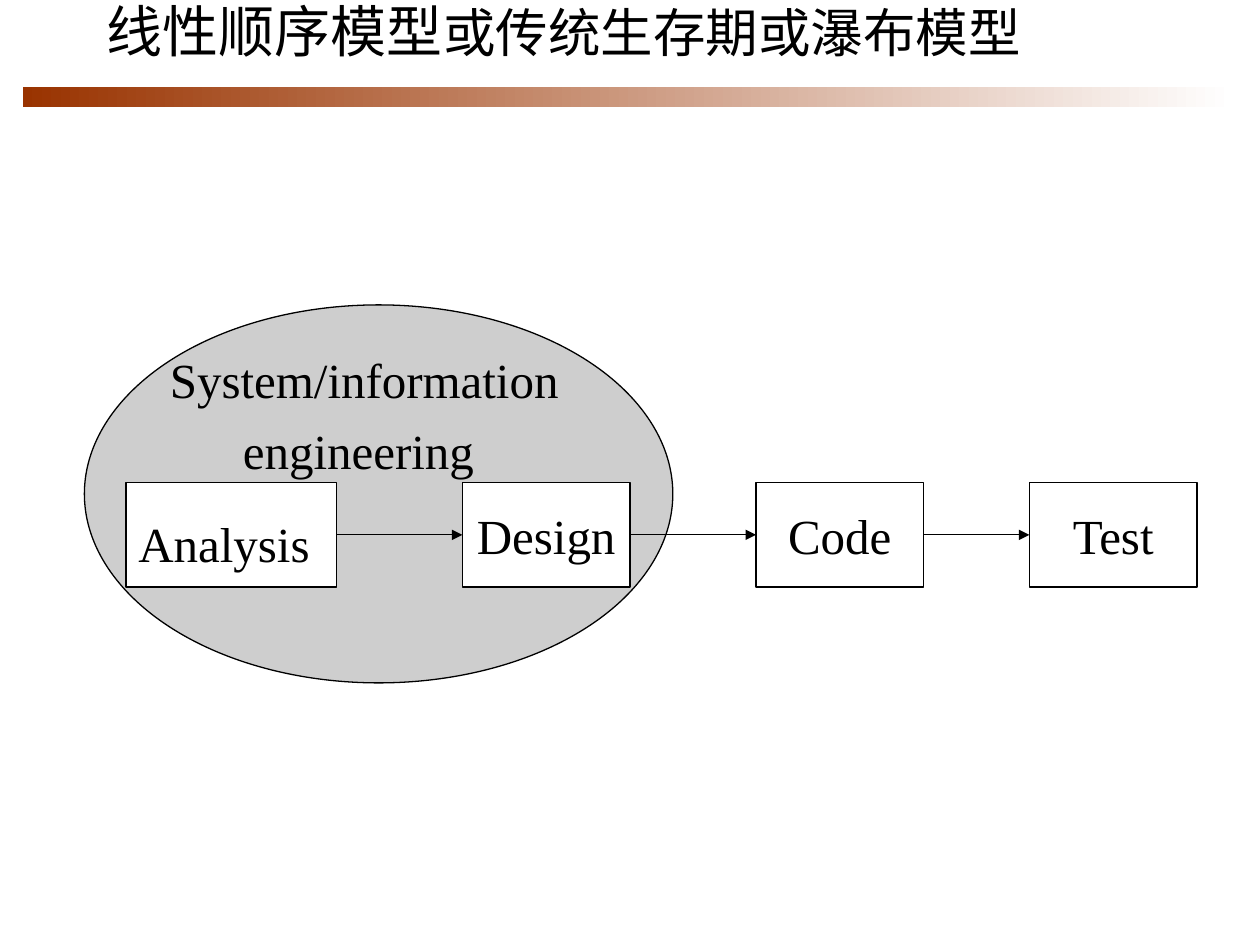
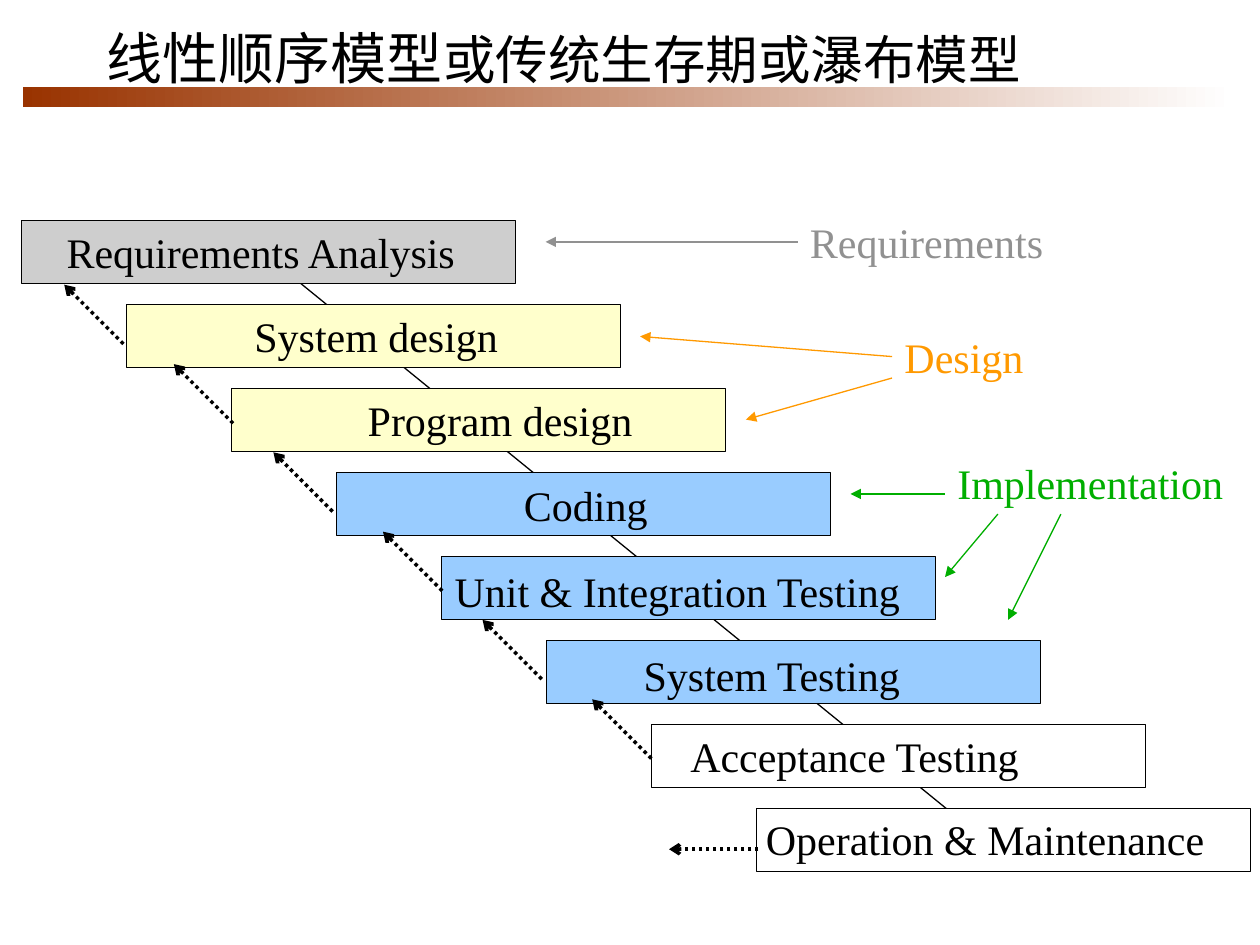
import pptx
import pptx.util
import pptx.dml.color
import pptx.enum.dml
import pptx.enum.shapes
import pptx.enum.text
import pptx.oxml.ns
from lxml import etree

Inches = pptx.util.Inches
Pt = pptx.util.Pt
RGBColor = pptx.dml.color.RGBColor
Shape = pptx.enum.shapes.MSO_SHAPE
Anchor = pptx.enum.text.MSO_ANCHOR
Align = pptx.enum.text.PP_ALIGN

BLACK = RGBColor(0x00, 0x00, 0x00)
WHITE = RGBColor(0xFF, 0xFF, 0xFF)
RUST = RGBColor(0x99, 0x33, 0x00)
SILVER = RGBColor(0xCE, 0xCE, 0xCE)
CREAM = RGBColor(0xFF, 0xFF, 0xCC)
SKY = RGBColor(0x99, 0xCC, 0xFF)
GREY = RGBColor(0x91, 0x91, 0x91)
ORANGE = RGBColor(0xFF, 0x99, 0x00)
GREEN = RGBColor(0x00, 0xAE, 0x00)
SERIF = "Times New Roman"
SANS = "Arial"

# Waterfall steps: text, fill, label left, label drop, label width
STEPS = [
    ("Requirements Analysis", SILVER, 0.43, 0, 3.49),
    ("System design", CREAM, 1.92, 0, 2.25),
    ("Program design", CREAM, 2.82, 0, 2.5),
    ("Coding", SKY, 4.06, 0.01, 1.25),
    ("Unit & Integration Testing", SKY, 3.51, 0.02, 3.83),
    ("System Testing", SKY, 5.01, 0.02, 2.33),
    ("Acceptance Testing", WHITE, 5.38, 0, 3.25),
    ("Operation & Maintenance", WHITE, 5.98, -0.01, 3.92),
]

# Phases: text, colour, label box, arrows as start and end points
PHASES = [
    ("Requirements", GREY, (6.33, 1.67, 2.58, 0.5),
     [(6.33, 1.92, 4.33, 1.92)]),
    ("Design", ORANGE, (7.08, 2.58, 1.42, 0.5),
     [(7.08, 2.83, 5.08, 2.67), (7.08, 3, 5.92, 3.33)]),
    ("Implementation", GREEN, (7.5, 3.58, 2.33, 0.5),
     [(7.5, 3.92, 6.75, 3.92), (7.92, 4.08, 7.5, 4.58),
      (8.42, 4.08, 8, 4.92)]),
]


def add_run(para, text, size, color=BLACK, face=SERIF):
    run = para.add_run()
    run.text = text
    run.font.size = Pt(size)
    run.font.name = face
    run.font.color.rgb = color


def add_box(slide, kind, place, fill):
    box = slide.shapes.add_shape(kind, *map(Inches, place))
    box.shadow.inherit = False
    box.fill.solid()
    box.fill.fore_color.rgb = fill
    box.line.color.rgb = BLACK
    box.line.width = Pt(0.75)
    return box


def add_text(slide, place):
    frame = slide.shapes.add_textbox(*map(Inches, place)).text_frame
    frame.word_wrap = True
    return frame


def add_label(slide, text, place, size=24, color=BLACK):
    add_run(add_text(slide, place).paragraphs[0], text, size, color)


def add_line(slide, ends, color=BLACK, width=0.75, head=None, dash=None):
    line = slide.shapes.add_connector(
        pptx.enum.shapes.MSO_CONNECTOR.STRAIGHT, *map(Inches, ends))
    line.line.color.rgb = color
    line.line.width = Pt(width)
    if dash:
        line.line.dash_style = dash
    qn = pptx.oxml.ns.qn
    if head:
        etree.SubElement(line.line._get_or_add_ln(), qn("a:tailEnd"), type=head)
    etree.SubElement(line._element.spPr, qn("a:effectLst"))
    return line


def add_slide(deck, top, anchor):
    """Start a slide with the shared band and title."""
    slide = deck.slides.add_slide(deck.slide_layouts[6])
    band = add_box(slide, Shape.RECTANGLE, (0.18, 0.69, 9.61, 0.16), WHITE)
    band.line.fill.background()
    band.fill.gradient()
    band.fill.gradient_angle = 0
    for stop, color, spot in zip(band.fill.gradient_stops, (RUST, WHITE), (0, 1)):
        stop.color.rgb = color
        stop.position = spot

    frame = add_text(slide, (0.75, top, 8.5, 1.25))
    frame.vertical_anchor = anchor
    para = frame.paragraphs[0]
    add_run(para, "线性顺序模型", 32)
    add_run(para, "或传统生存期或瀑布模型", 30, face=SANS)
    return slide


def draw_linear(deck):
    slide = add_slide(deck, -0.08, Anchor.TOP)
    add_box(slide, Shape.OVAL, (0.67, 2.42, 4.67, 3), SILVER)

    # Stages; the first one has its text in a label of its own
    stages = []
    for text, left, width in [("", 1, 1.67), ("Design", 3.67, 1.33),
                              ("Code", 6, 1.33), ("Test", 8.17, 1.33)]:
        box = add_box(slide, Shape.RECTANGLE, (left, 3.83, width, 0.83), WHITE)
        if text:
            box.text_frame.word_wrap = False
            para = box.text_frame.paragraphs[0]
            para.alignment = Align.CENTER
            add_run(para, text, 28)
        stages.append(box)
    for start, end in zip(stages, stages[1:]):
        line = add_line(slide, (0, 0, 0, 0), head="triangle")
        line.begin_connect(start, 3)
        line.end_connect(end, 1)

    # Labels inside the ellipse
    frame = add_text(slide, (1.25, 2.85, 3.75, 1))
    first, second = frame.paragraphs[0], frame.add_paragraph()
    second.space_before = Pt(17.5)
    second._p.get_or_add_pPr().set("marL", str(Inches(0.58)))
    for para, text in ((first, "System/information"), (second, "engineering")):
        para.line_spacing = 0.7
        add_run(para, text, 28)
    add_label(slide, "Analysis", (1, 4.03, 1.67, 0.57), 28)


def draw_falls(deck):
    slide = add_slide(deck, -0.17, Anchor.MIDDLE)

    # Steps over one long diagonal
    add_line(slide, (2.08, 2, 7.92, 6.75))
    tops = [1.75 + i * 2 / 3 for i in range(len(STEPS))]
    for i, (step, top) in enumerate(zip(STEPS, tops)):
        place = (0.17 + i * 5 / 6, top, 3.92, 0.5)
        add_box(slide, Shape.RECTANGLE, place, step[1])
    for (text, _, left, drop, width), top in zip(STEPS, tops):
        add_label(slide, text, (left, top + drop, width, 0.5))

    # Phases on the right
    for text, color, place, arrows in PHASES:
        add_label(slide, text, place, color=color)
        for ends in arrows:
            add_line(slide, ends, color, head="triangle")

    # Dotted arrows back up the steps, set out in pairs
    backs = [(6.02, 6.74, 5.31, 6.74)]
    for i in range(6):
        pair, odd = divmod(i, 2)
        x = 0.98 + pair * 1.66 + odd * 0.87
        y = 2.73 + pair * 1.33 + odd * 0.63
        backs.append((x, y, x - 0.47, y - 0.47))
    for ends in backs:
        add_line(slide, ends, width=2, head="arrow",
                 dash=pptx.enum.dml.MSO_LINE.ROUND_DOT)


def main():
    deck = pptx.Presentation()
    deck.slide_width = Inches(10)
    deck.slide_height = Inches(7.5)
    draw_linear(deck)
    draw_falls(deck)
    deck.save("out.pptx")


if __name__ == "__main__":
    main()
